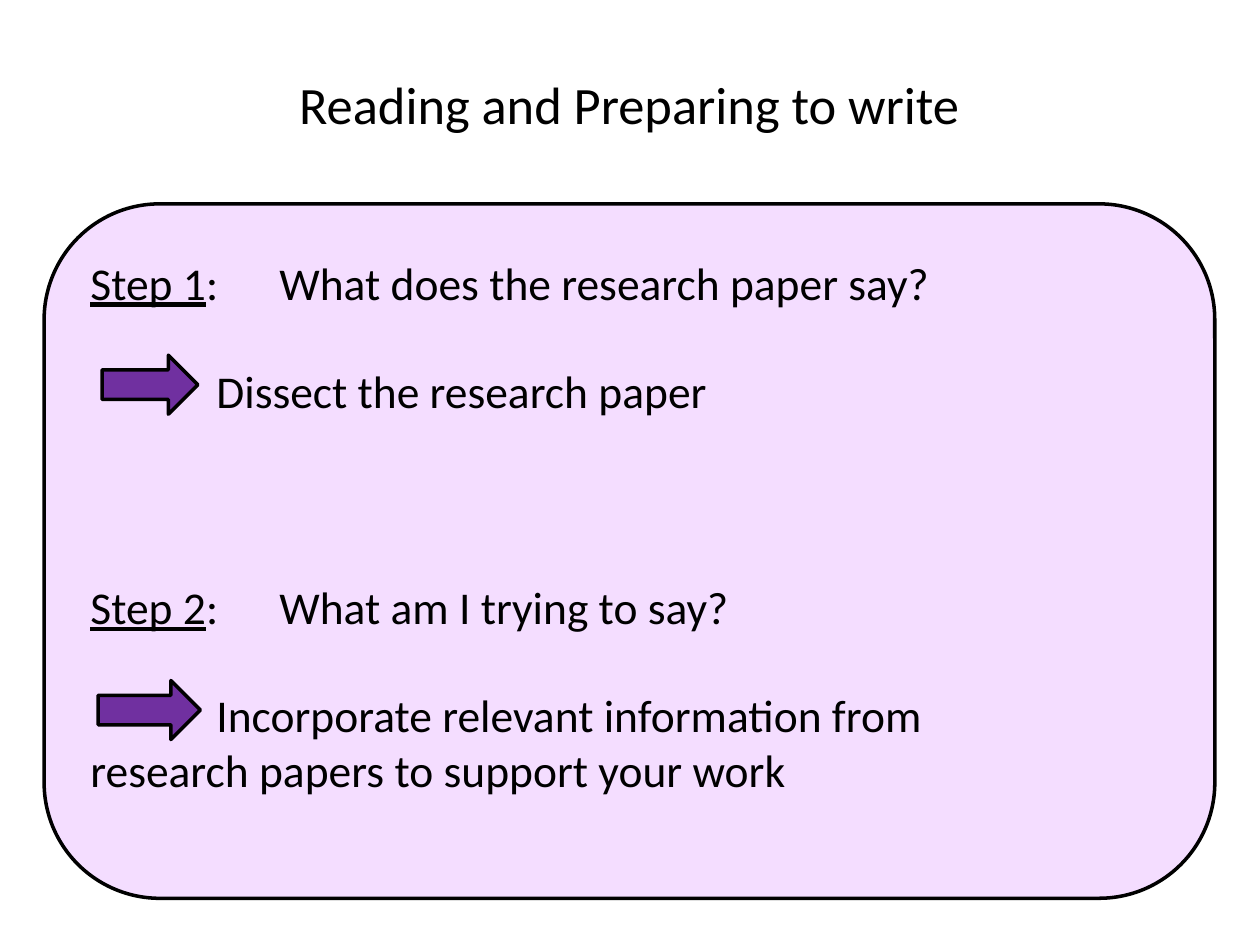
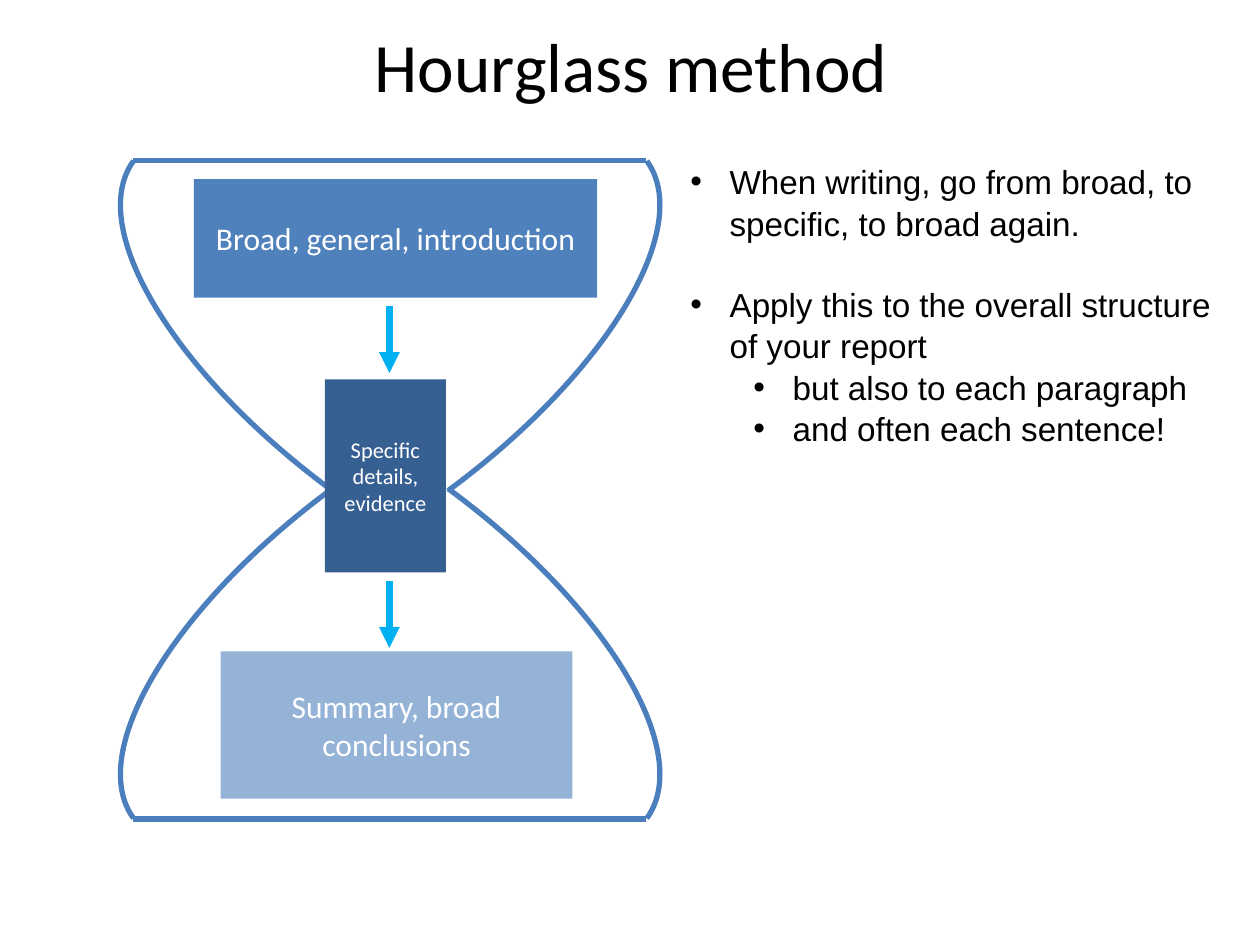
from dataclasses import dataclass
from typing import Optional

from lxml.etree import SubElement
from pptx import Presentation
from pptx.dml.color import RGBColor
from pptx.enum.shapes import MSO_CONNECTOR as Connector
from pptx.enum.shapes import MSO_SHAPE as Preset
from pptx.enum.text import MSO_ANCHOR as Anchor
from pptx.enum.text import PP_ALIGN as Align
from pptx.oxml.ns import qn
from pptx.util import Cm, Pt

BLACK = RGBColor(0x00, 0x00, 0x00)
WHITE = RGBColor(0xFF, 0xFF, 0xFF)
LILAC = RGBColor(0xD8, 0x83, 0xFF)
PURPLE = RGBColor(0x70, 0x30, 0xA0)
OUTLINE_BLUE = RGBColor(0x4B, 0x7E, 0xBC)
MID_BLUE = RGBColor(0x4F, 0x81, 0xBD)
DARK_BLUE = RGBColor(0x37, 0x60, 0x92)
PALE_BLUE = RGBColor(0x95, 0xB3, 0xD7)
CYAN = RGBColor(0x00, 0xB0, 0xF0)


@dataclass(frozen=True)
class Box:
    """A rectangle in centimetres."""
    left: float
    top: float
    width: float
    height: float

    def lengths(self) -> tuple:
        return Cm(self.left), Cm(self.top), Cm(self.width), Cm(self.height)


@dataclass(frozen=True)
class Line:
    """A paragraph; lead is underlined, lengths are in centimetres."""
    text: str
    lead: str = ""
    before: float = 0
    margin: float = 0
    indent: float = 0
    bullet: str = ""
    tab: float = 0


@dataclass(frozen=True)
class Stage:
    text: str
    box: Box
    fill: RGBColor
    size: float


@dataclass(frozen=True)
class Arc:
    box: Box
    rotation: float
    flips: tuple = ()


# Reading slide
READING_PANEL = Box(0.89, 4.11, 23.6, 14)
READING_STEPS = (
    Line("\tWhat does the research paper say?", lead="Step 1", tab=4.3 - 0.87),
    Line("Dissect the research paper", before=30.6, indent=2.54),
    Line("\tWhat am I trying to say?", lead="Step 2", before=92.5, tab=4.3 - 0.87),
    Line("Incorporate relevant information from\vresearch papers to support your work",
         before=30.6, indent=2.54),
)
STEP_ARROWS = (Box(2.06, 7.16, 1.93, 1.19), Box(1.98, 13.72, 2.06, 1.19))

# Hourglass slide
ARC_WIDTH, ARC_HEIGHT = 14.33, 5.97
ARC_LEFTS = (1.3, 0.1)
ARC_TOPS = (4.5, 9.27)
ARC_TURN = 216.3
GLASS_LEFT, GLASS_RIGHT = 2.69, 13.03
GLASS_ENDS = (3.23, 16.51)
FLOW_X, FLOW_LENGTH = 7.85, 1.35
FLOW_TOPS = (6.17, 11.71)
STAGES = (
    Stage("Specific details, evidence", Box(6.55, 7.65, 2.44, 3.89), DARK_BLUE, 12.8),
    Stage("Summary, broad conclusions", Box(4.45, 13.13, 7.09, 2.97), PALE_BLUE, 18),
    Stage("Broad, general, introduction", Box(3.91, 3.61, 8.13, 2.39), MID_BLUE, 18),
)
ADVICE = (
    Line("When writing, go from broad, to specific, to broad again.",
         margin=0.79, indent=-0.79, bullet="•"),
    Line("Apply this to the overall structure of your report",
         before=22.7, margin=0.79, indent=-0.79, bullet="•"),
    Line("but also to each paragraph", margin=2.06, indent=-0.79, bullet="•"),
    Line("and often each sentence!", margin=2.06, indent=-0.79, bullet="•"),
)


def write(shape, lines, *, size: float, font: str = "Calibri", color: RGBColor = BLACK,
          align=Align.LEFT, anchor=Anchor.MIDDLE, spacing: Optional[float] = None) -> None:
    """Fill a shape with paragraphs that share one format."""
    frame = shape.text_frame
    frame.word_wrap = True
    frame.vertical_anchor = anchor
    for number, line in enumerate(lines):
        paragraph = frame.add_paragraph() if number else frame.paragraphs[0]
        paragraph.alignment = align
        if spacing:
            paragraph.line_spacing = spacing
        if line.before:
            paragraph.space_before = Pt(line.before)
        properties = paragraph._p.get_or_add_pPr()
        properties.set("marL", str(Cm(line.margin)))
        properties.set("indent", str(Cm(line.indent)))
        if line.bullet:
            SubElement(properties, qn("a:buFont"), typeface="Arial")
            SubElement(properties, qn("a:buChar"), char=line.bullet)
        if line.tab:
            tabs = SubElement(properties, qn("a:tabLst"))
            SubElement(tabs, qn("a:tab"), pos=str(Cm(line.tab)), algn="l")

        def add_run(text: str, underline: bool = False) -> None:
            run = paragraph.add_run()
            run.text = text
            run.font.name, run.font.size = font, Pt(size)
            run.font.color.rgb = color
            run.font.underline = underline or None

        if line.lead:
            add_run(line.lead, underline=True)
            add_run(":")
        for row, text in enumerate(line.text.split("\v")):
            if row:
                paragraph.add_line_break()
            add_run(text)


def add_shape(slide, preset, box: Box, fill: Optional[RGBColor] = None,
              line: Optional[RGBColor] = None, width: float = 2):
    shape = slide.shapes.add_shape(preset, *box.lengths())
    shape.shadow.inherit = False
    if fill is None:
        shape.fill.background()
    else:
        shape.fill.solid()
        shape.fill.fore_color.rgb = fill
    if line is None:
        shape.line.fill.background()
    else:
        shape.line.color.rgb = line
        shape.line.width = Pt(width)
    return shape


def add_title(slide, text: str, box: Box, size: float) -> None:
    title = slide.shapes.add_textbox(*box.lengths())
    write(title, [Line(text)], size=size, align=Align.CENTER)


def add_line(slide, start: tuple, end: tuple, color: RGBColor, width: float,
             arrow: bool = False) -> None:
    connector = slide.shapes.add_connector(
        Connector.STRAIGHT, *(Cm(value) for value in (*start, *end)))
    connector.line.color.rgb = color
    connector.line.width = Pt(width)
    if arrow:
        SubElement(connector.line._get_or_add_ln(), qn("a:tailEnd"), type="triangle")
    SubElement(connector._element.spPr, qn("a:effectLst"))


def add_arc(slide, arc: Arc) -> None:
    shape = add_shape(slide, Preset.ARC, arc.box, line=OUTLINE_BLUE, width=3)
    shape.rotation = arc.rotation
    for flip in arc.flips:
        shape._element.spPr.xfrm.set(flip, "1")


def build_reading_slide(slide) -> None:
    panel = add_shape(slide, Preset.ROUNDED_RECTANGLE, READING_PANEL, LILAC, BLACK)
    color = panel._element.spPr.find(qn("a:solidFill"))[0]
    SubElement(color, qn("a:alpha"), val="27000")
    panel.text_frame.margin_top = Cm(0.34)
    write(panel, READING_STEPS, size=26, anchor=Anchor.TOP)
    add_title(slide, "Reading and Preparing to write", Box(0.89, 0.8, 23.6, 2.59), 30)
    for box in STEP_ARROWS:
        add_shape(slide, Preset.RIGHT_ARROW, box, PURPLE, BLACK)


def build_hourglass_slide(slide) -> None:
    add_title(slide, "Hourglass method", Box(6.02, 0.38, 13.41, 1.85), 39.6)

    # Glass outline: one arc mirrored into four quarters, closed by two lines
    for top, vertical in zip(ARC_TOPS, ((), ("flipV",))):
        for left, horizontal in zip(ARC_LEFTS, ((), ("flipH",))):
            flips = horizontal + vertical
            rotation = 360 - ARC_TURN if len(flips) == 1 else ARC_TURN
            add_arc(slide, Arc(Box(left, top, ARC_WIDTH, ARC_HEIGHT), rotation, flips))
    for y in GLASS_ENDS:
        add_line(slide, (GLASS_LEFT, y), (GLASS_RIGHT, y), OUTLINE_BLUE, 3)

    # Stages and the flow between them
    for stage in STAGES:
        shape = add_shape(slide, Preset.RECTANGLE, stage.box, stage.fill)
        write(shape, [Line(stage.text)], size=stage.size, color=WHITE, align=Align.CENTER)
    for top in FLOW_TOPS:
        add_line(slide, (FLOW_X, top), (FLOW_X, top + FLOW_LENGTH), CYAN, 4, arrow=True)

    # Advice
    advice = slide.shapes.add_textbox(*Box(13.67, 3.1, 11.1, 7.57).lengths())
    write(advice, ADVICE, size=19, font="Arial", anchor=Anchor.TOP, spacing=1.04)


def main() -> None:
    presentation = Presentation()
    presentation.slide_width, presentation.slide_height = Cm(25.4), Cm(19.05)
    blank = presentation.slide_layouts[6]
    for build in (build_reading_slide, build_hourglass_slide):
        build(presentation.slides.add_slide(blank))
    presentation.save("out.pptx")


if __name__ == "__main__":
    main()
